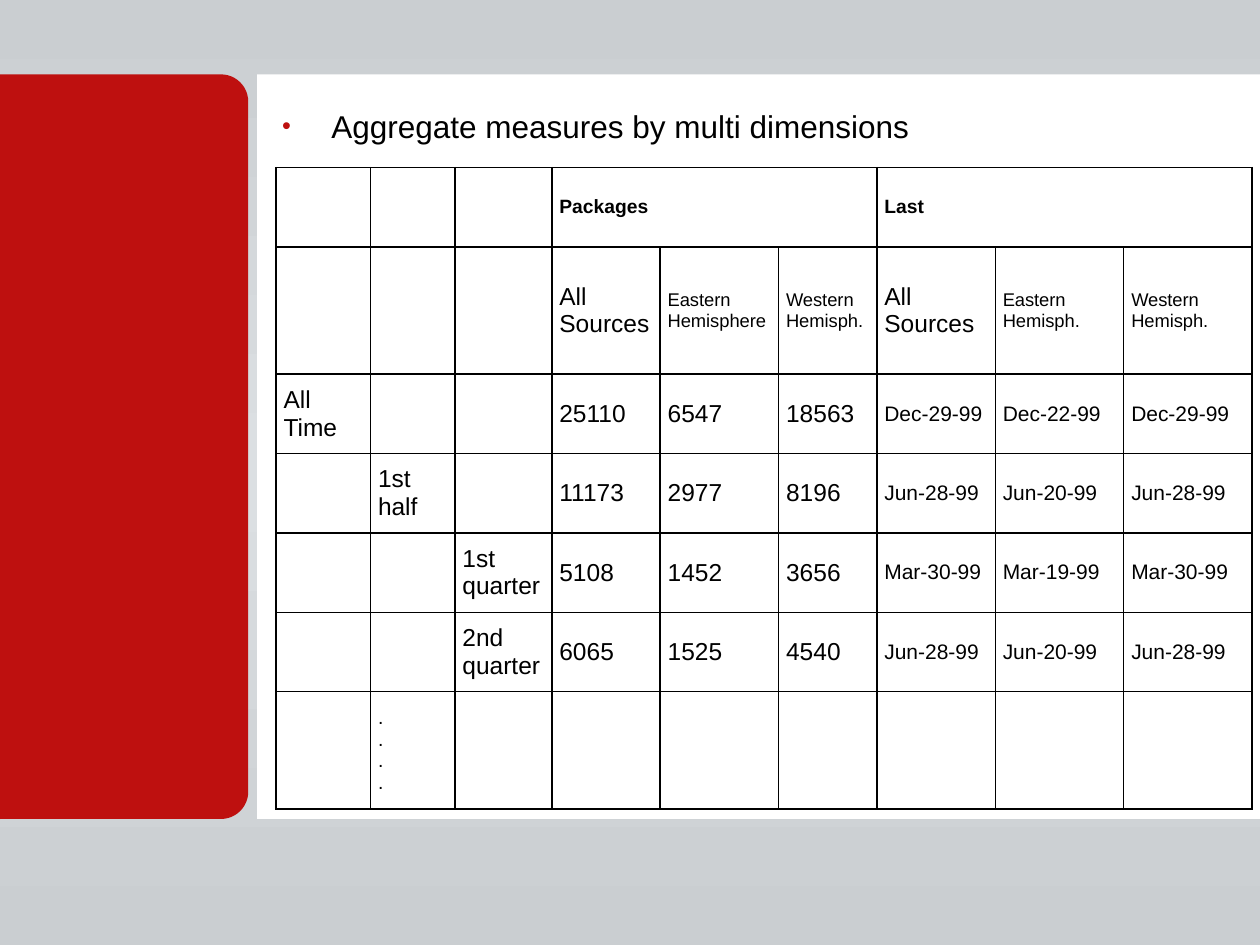
from copy import deepcopy

from lxml.etree import SubElement
from pptx import Presentation
from pptx.dml.color import RGBColor
from pptx.enum.shapes import MSO_SHAPE
from pptx.enum.text import MSO_ANCHOR, PP_ALIGN
from pptx.oxml import parse_xml
from pptx.oxml.ns import nsdecls, qn
from pptx.util import Inches, Pt

RED, WHITE, BLACK = "BE100F", "FFFFFF", "000000"
EDGE_GRAY, MID_GRAY = "CACED1", "DBDFE2"

COLUMNS = [0.75, 0.67, 0.77, 0.86, 0.94, 0.78, 0.94, 1.02, 1.02]
ROWS = [0.63, 1.01, 0.63, 0.63, 0.63, 0.63, 0.93]
CELLS = [
    ["", "", "", "Packages", "", "", "Last", "", ""],
    ["", "", "", "All Sources", "Eastern Hemisphere", "Western Hemisph.",
     "All Sources", "Eastern Hemisph.", "Western Hemisph."],
    ["All Time", "", "", "25110", "6547", "18563", "Dec-29-99", "Dec-22-99", "Dec-29-99"],
    ["", "1st half", "", "11173", "2977", "8196", "Jun-28-99", "Jun-20-99", "Jun-28-99"],
    ["", "", "1st quarter", "5108", "1452", "3656", "Mar-30-99", "Mar-19-99", "Mar-30-99"],
    ["", "", "2nd quarter", "6065", "1525", "4540", "Jun-28-99", "Jun-20-99", "Jun-28-99"],
    ["", ".\n.\n.\n.", "", "", "", "", "", "", ""],
]
MERGED = [(0, 3, 5), (0, 6, 8)]  # row, first column, last column


def rgb(value):
    return RGBColor.from_string(value)


def cell_size(row, col):
    if row in (0, len(ROWS) - 1):
        return 11
    if row == 1:
        return 14 if col in (3, 6) else 10.5
    return 12 if col >= 6 else 14


class SlideBuilder:
    font = "Arial"
    border_width = Pt(1)
    cell_format = {
        "vertical_anchor": MSO_ANCHOR.MIDDLE,
        "margin_left": Inches(0.06), "margin_right": Inches(0.06),
        "margin_top": Inches(0.03), "margin_bottom": Inches(0.03),
    }
    panel_format = {
        "word_wrap": True, "vertical_anchor": MSO_ANCHOR.TOP,
        "margin_left": Inches(0.2), "margin_right": Inches(0.39),
        "margin_top": Inches(0.2), "margin_bottom": Inches(0.2),
    }
    bullet_format = {
        "alignment": PP_ALIGN.LEFT, "line_spacing": 1.2,
        "space_before": Pt(6), "space_after": Pt(6),
    }

    def __init__(self, slide):
        self.s = slide

    def apply(self, target, values):
        for name, value in values.items():
            setattr(target, name, value)

    def background(self, edge, middle):
        """Fill the slide with a vertical gradient, edge to middle to edge."""
        fill = self.s.background.fill
        fill.gradient()
        fill.gradient_angle = 90
        first, last = fill.gradient_stops
        for stop, color, position in ((first, middle, 0.5), (last, edge, 1)):
            stop.color.rgb = rgb(color)
            stop.position = position
        stops = self.s.element.find(".//" + qn("a:gsLst"))
        start = deepcopy(stops[-1])
        start.set("pos", "0")
        stops.insert(0, start)

    def shape(self, kind, left, top, width, height, color):
        sp = self.s.shapes.add_shape(
            kind, Inches(left), Inches(top), Inches(width), Inches(height))
        sp.shadow.inherit = False
        sp.fill.solid()
        sp.fill.fore_color.rgb = rgb(color)
        sp.line.fill.background()
        return sp

    def text_run(self, p, text, size, bold=False):
        r = p.add_run()
        r.text = text
        self.apply(r.font, {"name": self.font, "size": Pt(size), "bold": bold})
        r.font.color.rgb = rgb(BLACK)

    def bullet(self, sp, text, size):
        tf = sp.text_frame
        self.apply(tf, self.panel_format)
        p = tf.paragraphs[0]
        self.apply(p, self.bullet_format)
        self.text_run(p, text, size)
        pPr = p._p.get_or_add_pPr()
        pPr.set("marL", str(Inches(0.39)))
        pPr.set("indent", str(-Inches(0.39)))
        color = SubElement(pPr, qn("a:buClr"))
        SubElement(color, qn("a:srgbClr"), val=RED)
        SubElement(pPr, qn("a:buSzPct"), val="80000")
        SubElement(pPr, qn("a:buFont"), typeface=self.font)
        SubElement(pPr, qn("a:buChar"), char="•")

    def borders(self, cell):
        tcPr = cell._tc.get_or_add_tcPr()
        for i, side in enumerate("LRTB"):
            tcPr.insert(i, parse_xml(
                f'<a:ln{side} {nsdecls("a")} w="{self.border_width}"><a:solidFill>'
                f'<a:srgbClr val="{BLACK}"/></a:solidFill></a:ln{side}>'))

    def table(self, left, top, columns, rows, cells, merged):
        table = self.s.shapes.add_table(
            len(rows), len(columns), Inches(left), Inches(top),
            Inches(sum(columns)), Inches(sum(rows))).table
        self.apply(table, {"first_row": False, "horz_banding": False})
        for column, width in zip(table.columns, columns):
            column.width = Inches(width)
        for row, height in zip(table.rows, rows):
            row.height = Inches(height)
        for row, first, last in merged:
            table.cell(row, first).merge(table.cell(row, last))
        for i, texts in enumerate(cells):
            for j, text in enumerate(texts):
                cell = table.cell(i, j)
                self.apply(cell, self.cell_format)
                cell.fill.background()
                self.borders(cell)
                if text:
                    self.fill_cell(cell, text, cell_size(i, j), i == 0)

    def fill_cell(self, cell, text, size, bold):
        tf = cell.text_frame
        for n, line in enumerate(text.split("\n")):
            p = tf.add_paragraph() if n else tf.paragraphs[0]
            p.alignment = PP_ALIGN.LEFT
            self.text_run(p, line, size, bold)


def main():
    prs = Presentation()
    prs.slide_width, prs.slide_height = Inches(10), Inches(7.5)
    builder = SlideBuilder(prs.slides.add_slide(prs.slide_layouts[6]))
    builder.background(EDGE_GRAY, MID_GRAY)

    side_band = builder.shape(
        MSO_SHAPE.ROUND_2_SAME_RECTANGLE, -1.97, 2.56, 5.91, 1.97, RED)
    side_band.rotation = 90
    side_band.adjustments[0] = 0.11

    panel = builder.shape(MSO_SHAPE.RECTANGLE, 2.04, 0.59, 7.96, 5.91, WHITE)
    builder.bullet(panel, "Aggregate measures by multi dimensions", 18)
    builder.table(2.19, 1.33, COLUMNS, ROWS, CELLS, MERGED)
    prs.save("out.pptx")


if __name__ == "__main__":
    main()
